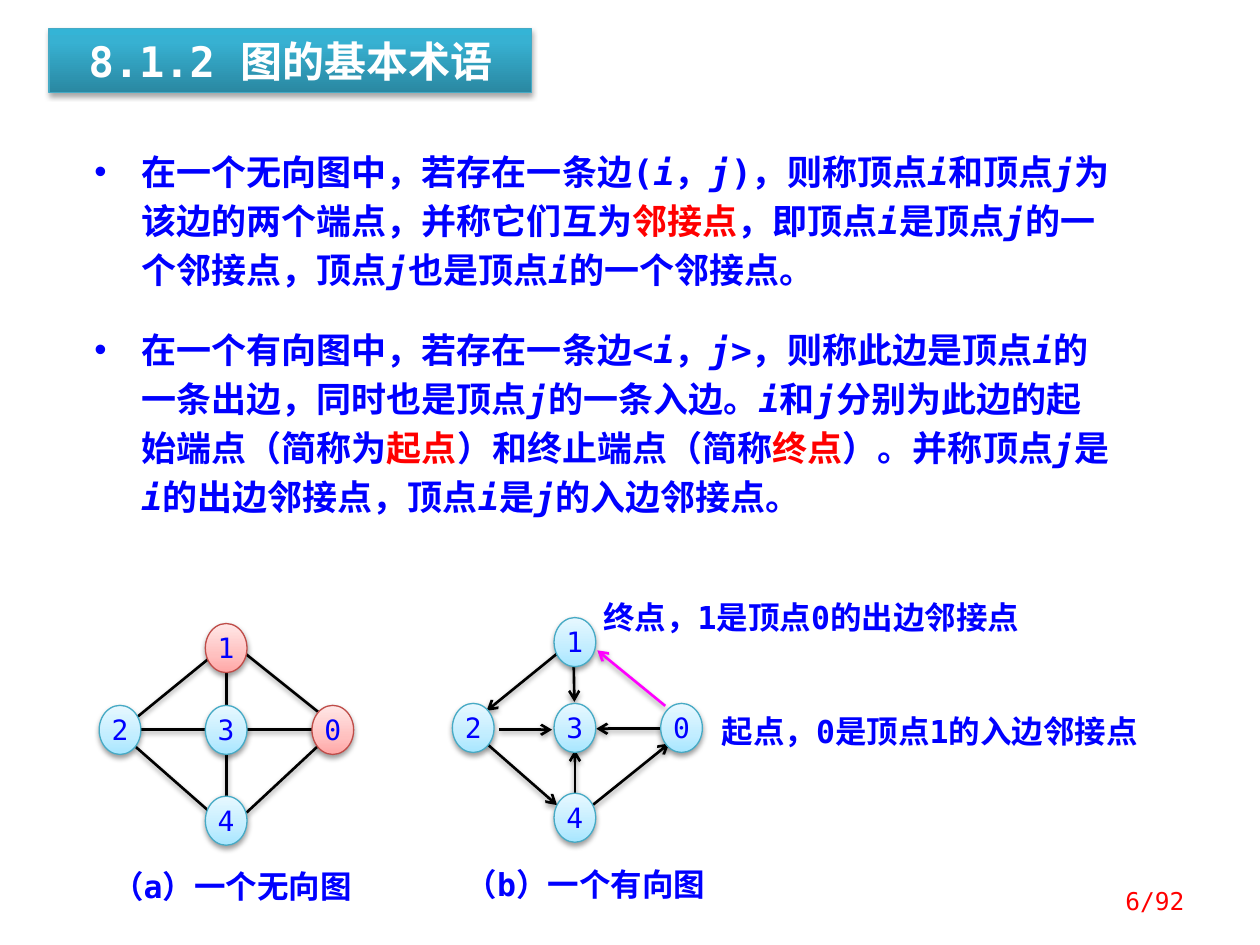
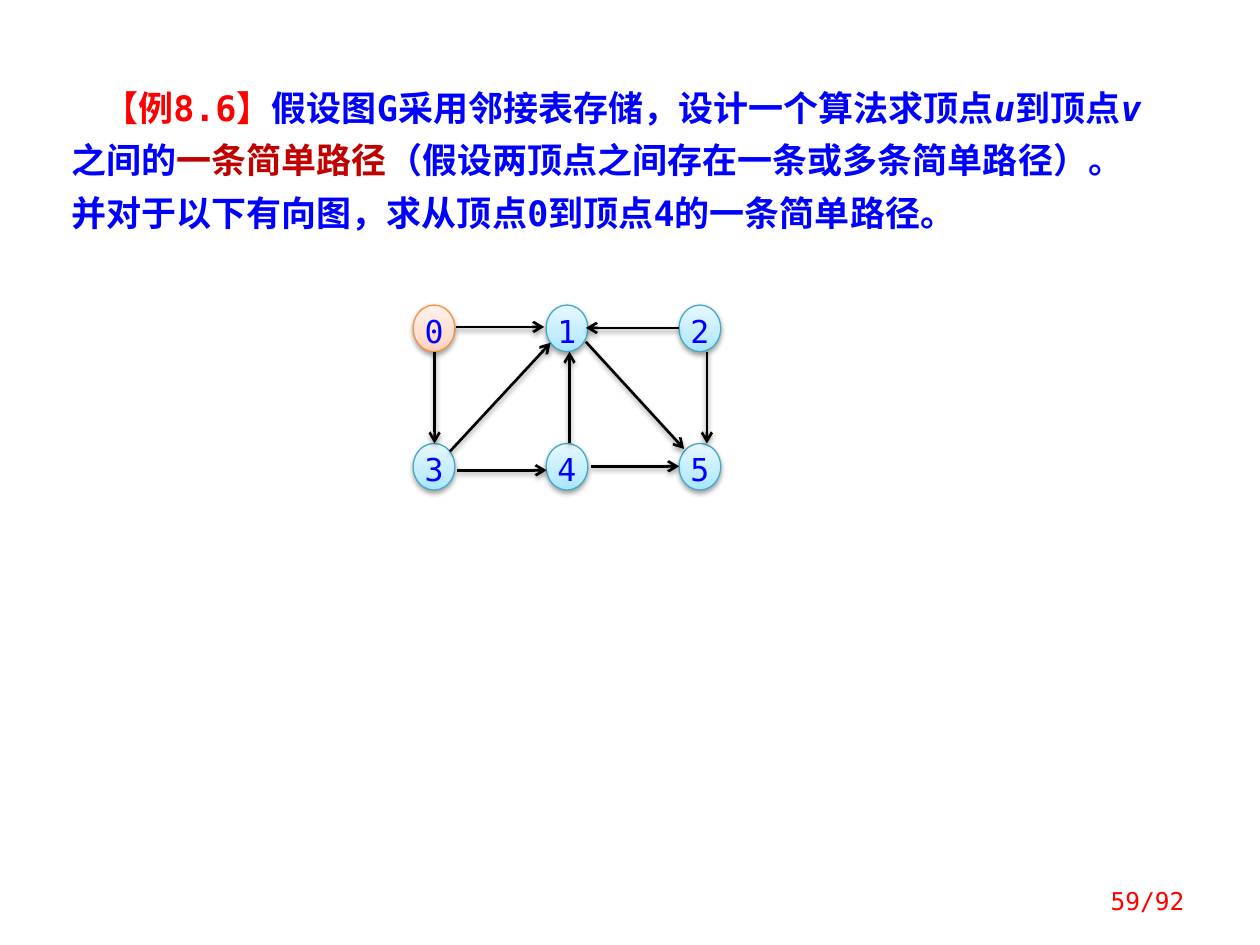
from dataclasses import dataclass
from lxml.etree import SubElement as Sub
from pptx import Presentation
from pptx.dml.color import RGBColor as Rgb
from pptx.enum.lang import MSO_LANGUAGE_ID as Lang
from pptx.enum.shapes import MSO_CONNECTOR as Link, MSO_SHAPE as Form
from pptx.enum.text import MSO_ANCHOR as Anchor, MSO_AUTO_SIZE as Auto, PP_ALIGN as Align
from pptx.oxml.ns import qn
from pptx.util import Cm, Pt


@dataclass(frozen=True)
class Theme:
    font: str = "DejaVu Sans Mono"
    ink: str = "0000FF"
    red: str = "FF0000"
    dark: str = "C00000"
    white: str = "FFFFFF"
    black: str = "000000"
    pink: str = "FF00FF"
    band: tuple = ("46AAC5", ((0, "2A88A2"), (80, "37B1D2"), (100, "34B4D6")))
    blue: tuple = ("46AAC5", ((0, "A7E6FF"), (35, "C1EDFF"), (100, "E7F8FF")))
    rose: tuple = ("BF4C48", ((0, "FFA6A5"), (35, "FFC0BF"), (100, "FFE7E7")))
    peach: tuple = ("F69240", ((0, "FFD2BD"), (35, "FFDED0"), (100, "FFF2ED")))
    head: int = 24
    body: int = 20
    label: int = 18
    node: int = 16
    foot: int = 14


T = Theme()
TONES = {"!": T.red, "#": T.dark}
PAD = (0.25, 0.13, 0.25, 0.13)
BARE = (0, 0, 0, 0)

POINTS = (
    "在一个无向图中，若存在一条边(|/i|，|/j|)，则称顶点|/i|和顶点|/j|为该边的两个端点，"
    "并称它们互为|!邻接点|，即顶点|/i|是顶点|/j|的一个邻接点，顶点|/j|也是顶点|/i|的一个邻接点。\n"
    "在一个有向图中，若存在一条边<|/i|，|/j|>，则称此边是顶点|/i|的一条出边，同时也是顶点|/j|的一条入边。"
    "|/i|和|/j|分别为此边的起始端点（简称为|!起点|）和终止端点（简称|!终点|）。"
    "并称顶点|/j|是|/i|的出边邻接点，顶点|/i|是|/j|的入边邻接点。"
)
TASK = (
    "|!【例8.6】|假设图G采用邻接表存储，设计一个算法求顶点|/u|到顶点|/v|之间的|#一条简单路径|"
    "（假设两顶点之间存在一条或多条简单路径）。并对于以下有向图，求从顶点0到顶点4的一条简单路径。"
)


def write(shape, text, size=T.label, color=T.ink, bold=False, align=Align.LEFT,
          anchor=Anchor.TOP, pad=PAD, line=None, gap=0, first=0, hang=0):
    frame = shape.text_frame
    frame.word_wrap = True
    frame.auto_size = Auto.NONE
    frame.vertical_anchor = anchor
    frame.margin_left, frame.margin_top, frame.margin_right, frame.margin_bottom = map(Cm, pad)
    for row, item in enumerate(text.split("\n")):
        para = frame.add_paragraph() if row else frame.paragraphs[0]
        props = para._p.get_or_add_pPr()
        if hang:
            props.set("marL", str(Cm(hang)))
            Sub(props, qn("a:buFont"), typeface="Arial")
            Sub(props, qn("a:buChar"), char="•")
        props.set("indent", str(Cm(first - hang)))
        para.alignment = align
        para.space_before = Pt(gap if row else 0)
        if line:
            para.line_spacing = Pt(line)
        for k, part in enumerate(item.split("|")):
            if not part:
                continue
            mark = part[0] if k % 2 else ""
            run = para.add_run()
            run.text = part[len(mark):]
            font = run.font
            font.name, font.size, font.bold = T.font, Pt(size), bold
            font.italic = mark == "/"
            font.language_id = Lang.SIMPLIFIED_CHINESE
            font.color.rgb = Rgb.from_string(TONES.get(mark, color))
            Sub(run._r.get_or_add_rPr(), qn("a:ea"), typeface=T.font)


def place(shape, box):
    shape.left, shape.top, shape.width, shape.height = map(Cm, box)
    return shape


def label(slide, box, text, **style):
    write(slide.shapes.add_textbox(*map(Cm, box)), text, **style)


def cast(shape, alpha=38, blur=3.1, dist=1.6):
    props = shape._element.spPr
    effect = props.find(qn("a:effectLst"))
    if effect is None:
        effect = Sub(props, qn("a:effectLst"))
    shade = Sub(effect, qn("a:outerShdw"), blurRad=str(Pt(blur)), dist=str(Pt(dist)),
                dir="5400000", rotWithShape="0")
    tone = Sub(shade, qn("a:srgbClr"), val=T.black)
    Sub(tone, qn("a:alpha"), val=str(alpha * 1000))


def paint(shape, skin, **shade):
    edge, stops = skin
    shape.fill.gradient()
    shape.fill.gradient_angle = 90
    ramp = shape._element.spPr.find(".//" + qn("a:gsLst"))
    del ramp[:]
    for pos, tone in stops:
        Sub(Sub(ramp, qn("a:gs"), pos=str(pos * 1000)), qn("a:srgbClr"), val=tone)
    shape.line.color.rgb = Rgb.from_string(edge)
    shape.line.width = Pt(0.75)
    shape.shadow.inherit = False
    cast(shape, **shade)


def nodes(slide, left, top, spots, size, skins, height):
    for name, (x, y) in spots.items():
        box = map(Cm, (left + x, top + y, 0.84, height))
        node = slide.shapes.add_shape(Form.OVAL, *box)
        paint(node, skins.get(name, T.blue))
        write(node, name, size=size, align=Align.CENTER, pad=BARE)


def edges(slide, left, top, ends, color=T.black, arrow=True):
    for x1, y1, x2, y2 in ends:
        box = map(Cm, (left + x1, top + y1, left + x2, top + y2))
        edge = slide.shapes.add_connector(Link.STRAIGHT, *box)
        edge.line.color.rgb = Rgb.from_string(color)
        edge.line.width = Pt(1.5)
        if arrow:
            Sub(edge._element.spPr.find(qn("a:ln")), qn("a:tailEnd"), type="arrow")
        cast(edge)


def cross(col, side, mid, low):
    return {"1": (col, 0), "3": (col, mid), "0": (side, mid), "2": (0, mid), "4": (col, low)}


def plain(slide, left, top):
    edges(slide, left, top, (
        (0.74, 2.49, 2.21, 3.78),
        (2.97, 3.81, 4.42, 2.46),
        (2.95, 0.61, 4.5, 1.85),
        (2.29, 0.64, 0.61, 2.01),
        (0.53, 2.13, 4.83, 2.13),
        (2.57, 0.97, 2.57, 3.91),
    ), arrow=False)
    nodes(slide, left, top, cross(2.14, 4.29, 1.65, 3.48), T.node,
          {"0": T.rose, "1": T.rose}, 0.99)
    label(slide, (left - 0.03, top + 4.9, 5.41, 0.99), "（a）一个无向图",
          bold=True, align=Align.CENTER, pad=BARE)


def arrowed(slide, left, top):
    edges(slide, left, top, (
        (2.44, 0.61, 2.46, 1.7),
        (2.47, 3.63, 2.47, 2.67),
        (4.19, 2.24, 2.9, 2.24),
        (0.94, 2.26, 2.01, 2.26),
        (0.69, 2.54, 2.11, 3.78),
        (2.79, 3.81, 4.37, 2.54),
        (2.13, 0.71, 0.69, 1.88),
    ))
    edges(slide, left, top, ((4.29, 1.78, 2.92, 0.66),), color=T.pink)
    nodes(slide, left, top, cross(2.05, 4.2, 1.73, 3.54), T.node, {}, 0.99)
    label(slide, (left + 0.23, top + 4.98, 4.9, 0.99), "（b）一个有向图",
          bold=True, align=Align.CENTER, pad=BARE)
    label(slide, (left + 5.18, top + 1.78, 8.94, 1.02), "起点，0是顶点1的入边邻接点", bold=True)
    label(slide, (left + 2.79, top - 0.53, 9.53, 1.02), "终点，1是顶点0的出边邻接点", bold=True)


def grid(slide, left, top):
    spots = {str(n): (n % 3 * 2.68, n // 3 * 2.79) for n in range(6)}
    nodes(slide, left, top, spots, T.label, {"0": T.peach}, 0.94)
    edges(slide, left, top, (
        (0.86, 0.44, 2.64, 0.44),
        (5.36, 0.46, 3.48, 0.46),
        (0.43, 0.94, 0.43, 2.79),
        (0.89, 3.33, 2.69, 3.33),
        (3.58, 3.25, 5.36, 3.25),
        (5.92, 0.94, 5.92, 2.79),
        (3.15, 2.79, 3.15, 0.94),
        (0.74, 2.95, 2.77, 0.76),
        (3.48, 0.74, 5.46, 2.9),
    ))


def footer(slide, page):
    label(slide, (21.03, 17.65, 3.1, 1.02), f"{page}/92", size=T.foot, color=T.red,
          align=Align.RIGHT, anchor=Anchor.MIDDLE)


def terms(deck):
    slide = deck.slides.add_slide(deck.slide_layouts[1])
    title = place(slide.shapes.title, (0.99, 0.58, 9.73, 1.28))
    paint(title, T.band, alpha=35, dist=1.8)
    write(title, "8.1.2 图的基本术语", size=T.head, color=T.white, bold=True,
          align=Align.CENTER, anchor=Anchor.MIDDLE)
    body = place(slide.placeholders[1], (1.4, 2.59, 21.23, 8.15))
    write(body, POINTS, size=T.body, bold=True, pad=(0.5, 0.3, 0.25, 0.3),
          line=28, gap=18, hang=0.95)
    plain(slide, 2, 12.57)
    arrowed(slide, 9.12, 12.45)
    footer(slide, 6)


def sample(deck):
    slide = deck.slides.add_slide(deck.slide_layouts[6])
    label(slide, (1.19, 1.4, 22.23, 3.45), TASK, size=T.body, bold=True, line=30, first=0.64)
    grid(slide, 8.33, 6.15)
    footer(slide, 59)


def main():
    deck = Presentation()
    deck.slide_width, deck.slide_height = Cm(25.4), Cm(19.05)
    terms(deck)
    sample(deck)
    deck.save("out.pptx")


if __name__ == "__main__":
    main()
